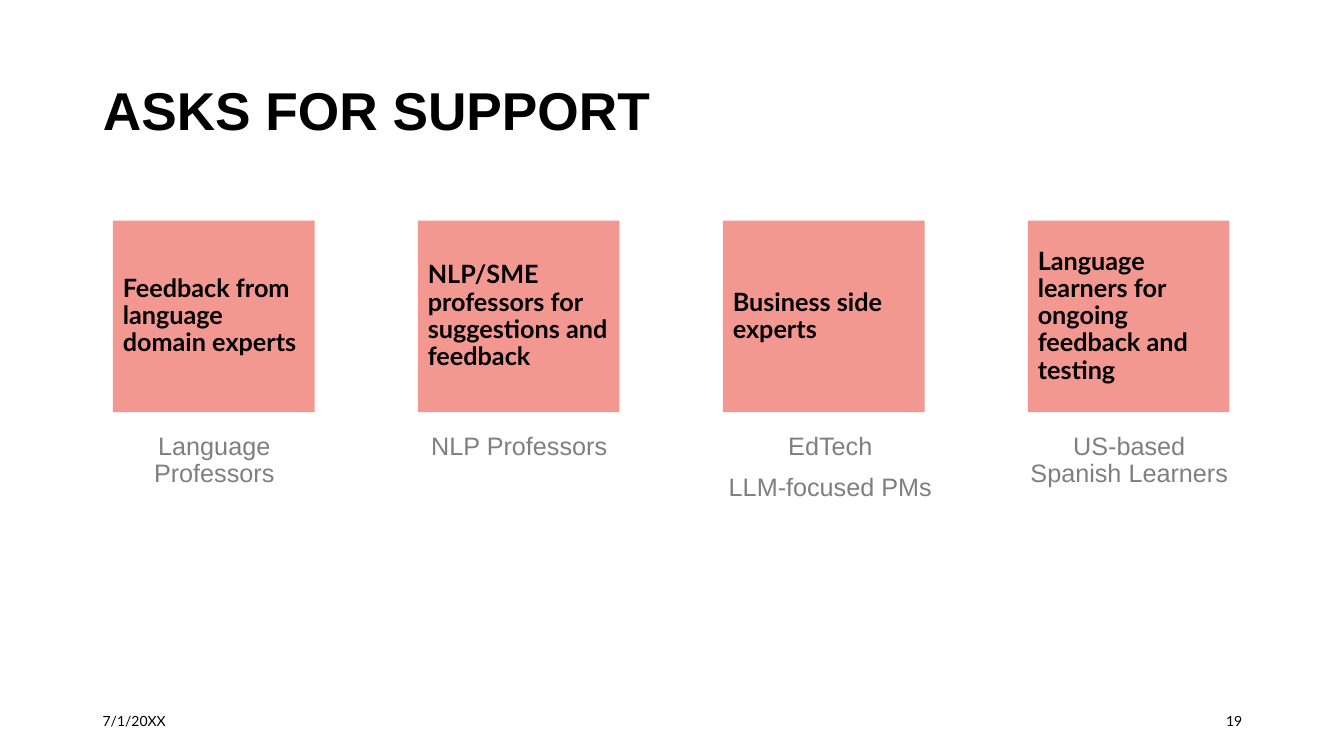
from dataclasses import dataclass

from pptx import Presentation
from pptx.dml.color import RGBColor
from pptx.enum.shapes import MSO_SHAPE
from pptx.enum.text import MSO_ANCHOR, MSO_AUTO_SIZE, PP_ALIGN
from pptx.util import Inches, Pt

TITLE = "ASKS FOR SUPPORT"
DATE, PAGE = "7/1/20XX", "19"
# Card text, caption lines, caption width
ASKS = [
    ("Feedback from language domain experts", ["Language Professors"], 2.25),
    ("NLP/SME professors for suggestions and feedback", ["NLP Professors"], 2.25),
    ("Business side experts", ["EdTech", "LLM-focused PMs"], 2.37),
    ("Language learners for ongoing feedback and testing",
     ["US-based Spanish Learners"], 2.25),
]


@dataclass(frozen=True)
class Theme:
    ink: RGBColor = RGBColor(0, 0, 0)
    muted: RGBColor = RGBColor(0x7F, 0x7F, 0x7F)
    card: RGBColor = RGBColor(0xF3, 0x98, 0x91)
    head_font: str = "Arial"
    body_font: str = "Lato"
    title_size: int = 38
    text_size: int = 18
    footer_size: int = 10


THEME = Theme()
SLIDE_W, SLIDE_H = 13.33, 7.5
MARGIN, CONTENT_W = 0.92, 11.5
CARD_X, CARD_Y, CARD_W, CARD_H = 1.12, 2.19, 2, 1.9
PITCH = (CONTENT_W + 0.6) / len(ASKS)
CAPTION_INSET, CAPTION_Y, CAPTION_H = 0.12, 4.25, 0.6
FOOTER_Y, FOOTER_W, FOOTER_H = 6.95, 3, 0.4


def write(s, lines, font, size, color, bold=False, align=PP_ALIGN.LEFT,
          anchor=MSO_ANCHOR.MIDDLE, spacing=0.9):
    tf = s.text_frame
    tf.word_wrap = True
    tf.auto_size = MSO_AUTO_SIZE.NONE
    tf.vertical_anchor = anchor
    for i, line in enumerate(lines):
        p = tf.add_paragraph() if i else tf.paragraphs[0]
        p.text = line
        p.alignment = align
        p.line_spacing = spacing
        p.space_before = Pt(10 if i else 0)
        p.font.name, p.font.size, p.font.bold = font, Pt(size), bold
        p.font.color.rgb = color


def add_title(slide):
    s = slide.shapes.title
    s.left, s.top, s.width, s.height = map(Inches, (MARGIN, 0.4, CONTENT_W, 1.45))
    write(s, [TITLE], THEME.head_font, THEME.title_size, THEME.ink, bold=True)


def add_ask(slide, column, ask, caption, caption_w):
    x = CARD_X + column * PITCH
    card = slide.shapes.add_shape(
        MSO_SHAPE.RECTANGLE, *map(Inches, (x, CARD_Y, CARD_W, CARD_H)))
    card.shadow.inherit = False
    card.fill.solid()
    card.fill.fore_color.rgb = THEME.card
    card.line.fill.background()
    write(card, [ask], THEME.body_font, THEME.text_size, THEME.ink, bold=True)

    box = slide.shapes.add_textbox(
        *map(Inches, (x - CAPTION_INSET, CAPTION_Y, caption_w, CAPTION_H)))
    write(box, caption, THEME.head_font, THEME.text_size, THEME.muted,
          align=PP_ALIGN.CENTER, anchor=MSO_ANCHOR.TOP)


def add_footer(slide, text, x, align):
    box = slide.shapes.add_textbox(
        *map(Inches, (x, FOOTER_Y, FOOTER_W, FOOTER_H)))
    write(box, [text], THEME.body_font, THEME.footer_size, THEME.ink,
          align=align, spacing=1.0)


def main():
    prs = Presentation()
    prs.slide_width, prs.slide_height = Inches(SLIDE_W), Inches(SLIDE_H)
    slide = prs.slides.add_slide(prs.slide_layouts[5])
    add_title(slide)
    for column, (ask, caption, caption_w) in enumerate(ASKS):
        add_ask(slide, column, ask, caption, caption_w)
    add_footer(slide, DATE, MARGIN, PP_ALIGN.LEFT)
    add_footer(slide, PAGE, MARGIN + CONTENT_W - FOOTER_W, PP_ALIGN.RIGHT)
    prs.save("out.pptx")


if __name__ == "__main__":
    main()
